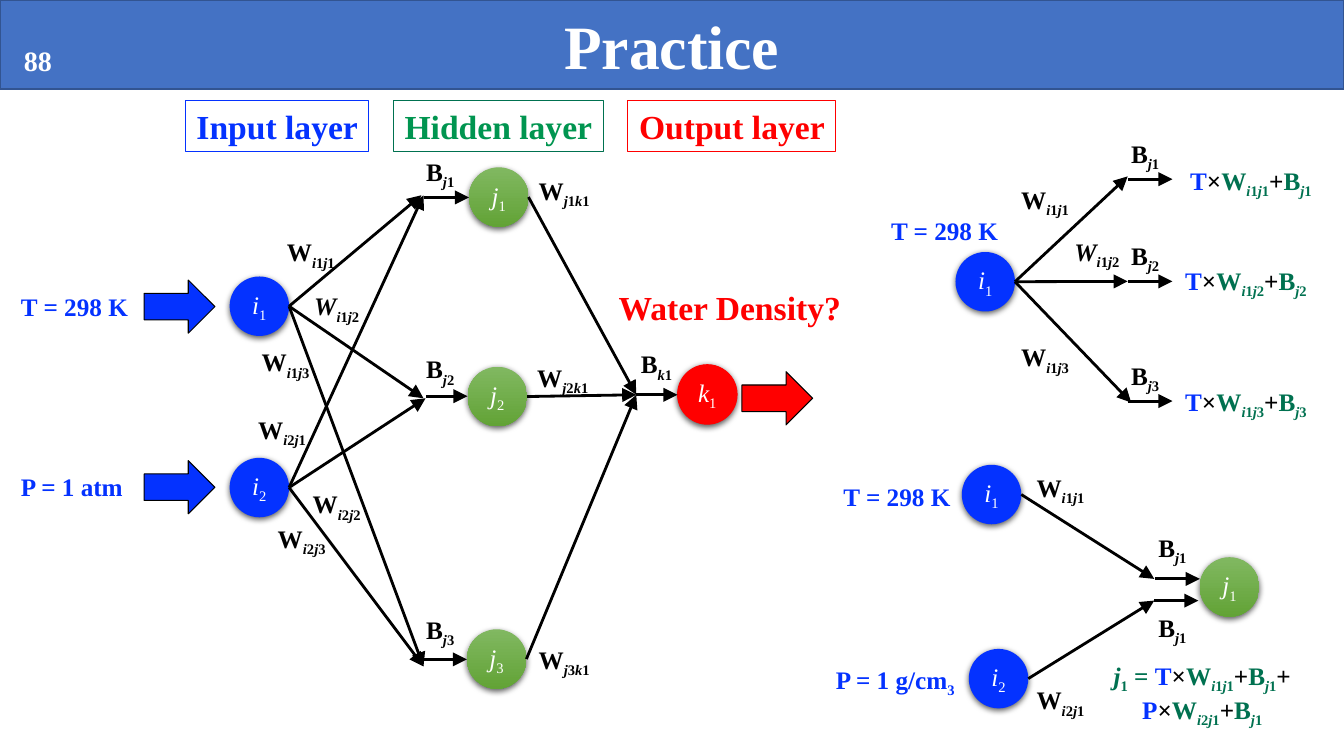
from lxml import etree
from pptx import Presentation
from pptx.dml.color import RGBColor
from pptx.enum.shapes import MSO_CONNECTOR, MSO_SHAPE as Kind
from pptx.enum.text import MSO_ANCHOR, PP_ALIGN
from pptx.oxml.ns import qn
from pptx.util import Pt

FONT = "Times New Roman"
BLUE, RED, GREEN = "0432FF", "FF0000", "007150"
BLACK, WHITE = "000000", "FFFFFF"
SIZE = 42.5  # node diameter

LAYERS = [  # text, left, width, text colour, border colour
    ("Input layer", 132.5, 131, BLUE, BLUE),
    ("Hidden layer", 281, 150, "009550", GREEN),
    ("Output layer", 448.5, 148.5, RED, RED),
]
NODES = [  # name, left, top, ends of the weight arrows that leave it
    ("i1", 164, 197.5, [(301, 139.5), (302.5, 284.5), (302.5, 476)]),
    ("i2", 164, 327, [(302.5, 139.5), (304, 284.5), (302.5, 476)]),
    ("j1", 335, 119.5, [(454.5, 282)]),
    ("j2", 334, 262, [(454.5, 282)]),
    ("j3", 333.5, 449.5, [(454.5, 282)]),
    ("k1", 484, 260.5, []),
    ("i1", 682.5, 180, [(805.5, 126), (805.5, 201), (808, 287.5)]),
    ("i1", 687, 332, [(824.5, 413.5)]),
    ("i2", 692, 463.5, [(824.5, 429)]),
    ("j1", 857, 398, []),
]
BIASES = [  # start, end, height of the level arrows
    (303, 335, 141), (304.5, 334, 283), (303, 333.5, 471), (454.5, 484, 282),
    (805.5, 837.5, 128), (805.5, 837.5, 201), (805.5, 837.5, 286.5),
    (825, 857, 413.5), (824.5, 856, 429),
]
LABELS = [
    ("Wi1j1", 196, 165.5), ("Wi1j2", 214.5, 204), ("Wi1j3", 178, 244),
    ("Wi2j1", 175.5, 292.5), ("Wi2j2", 214.5, 345.5), ("Wi2j3", 189.5, 370),
    ("Wj1k1", 376, 121.5), ("Wj2k1", 375, 255), ("Wj3k1", 376, 456.5),
    ("Bj1", 296.5, 108), ("Bj2", 296.5, 249), ("Bj3", 296.5, 435),
    ("Bk1", 449.5, 245.5),
    ("Wi1j1", 720.5, 128), ("Wi1j2", 757.5, 165), ("Wi1j3", 720.5, 240.5),
    ("Bj1", 800, 95), ("Bj2", 800, 168), ("Bj3", 800, 253.5),
    ("Wi1j1", 731.5, 333.5), ("Wi2j1", 731.5, 485.5),
    ("Bj1", 819.5, 376.5), ("Bj1", 819.5, 433.5),
]
WIDTHS = {"Wi": 52, "Wj": 54, "Bj": 36, "Bk": 39}
INPUTS = [  # text, subscript, left, top, width
    ("T = 298 K", "", 15, 208, 77),
    ("P = 1 atm", "", 15, 337, 73.5),
    ("T = 298 K", "", 636.5, 153.5, 77),
    ("T = 298 K", "", 602.5, 344, 77),
    ("P = 1 g/cm", "3", 597, 474.5, 86.5),
]
SUMS = [  # terms, left, top, width, height
    (["T", "×", "Wi1j1", "+", "Bj1"], 841, 118, 105, 21.5),
    (["T", "×", "Wi1j2", "+", "Bj2"], 837.5, 189.5, 105, 21.5),
    (["T", "×", "Wi1j3", "+", "Bj3"], 837.5, 276, 105, 21.5),
    (["j1", " = ", "T", "×", "Wi1j1", "+", "Bj1", "+ ",
      "P", "×", "Wi2j1", "+", "Bj1"], 781, 471.5, 155.5, 44),
]
BLOCKS = [(103, 200, BLUE), (103, 329, BLUE), (530, 265.5, RED)]
TINTS = {"T": BLUE, "P": BLUE, "×": BLACK, "+": BLACK, "+ ": BLACK}

deck = Presentation()
deck.slide_width, deck.slide_height = Pt(960), Pt(540)
slide = deck.slides.add_slide(deck.slide_layouts[6])
shapes = slide.shapes


def rgb(code):
    return RGBColor.from_string(code)


def term(name, color, slant=False):
    """Split a name such as Wi1j1 into a head and its subscripts."""
    return [(name[0], color, slant, False)] + [
        (c, color, c.isalpha(), True) for c in name[1:]]


def write(shape, parts, size=18, bold=True, align=PP_ALIGN.CENTER,
          wrap=False, inset=True):
    """Fill a shape with (text, colour, italic, subscript) parts."""
    frame = shape.text_frame
    frame.word_wrap = wrap
    if not inset:
        frame.margin_left = frame.margin_right = Pt(0)
        frame.margin_top = frame.margin_bottom = Pt(0)
    par = frame.paragraphs[0]
    par.alignment = align
    for text, color, slant, sub in parts:
        run = par.add_run()
        run.text = text
        font = run.font
        font.name, font.size = FONT, Pt(size)
        font.bold, font.italic = bold, slant
        font.color.rgb = rgb(color)
        if sub:
            font._element.set("baseline", "-25000")


def box(x, y, w, h):
    return shapes.add_textbox(Pt(x), Pt(y), Pt(w), Pt(h))


def solid(kind, x, y, w, h, fill, edge=None, width=0.75):
    shape = shapes.add_shape(kind, Pt(x), Pt(y), Pt(w), Pt(h))
    shape.shadow.inherit = False
    shape.fill.solid()
    shape.fill.fore_color.rgb = rgb(fill)
    if edge:
        shape.line.color.rgb = rgb(edge)
        shape.line.width = Pt(width)
    else:
        shape.line.fill.background()
    return shape


def arrow(x1, y1, x2, y2):
    line = shapes.add_connector(
        MSO_CONNECTOR.STRAIGHT, Pt(x1), Pt(y1), Pt(x2), Pt(y2))
    line.line.color.rgb = rgb(BLACK)
    line.line.width = Pt(2)
    props = line._element.spPr
    etree.SubElement(props.find(qn("a:ln")), qn("a:tailEnd"),
                     type="triangle", w="lg", len="lg")
    etree.SubElement(props, qn("a:effectLst"))


def node(name, x, y):
    fill = {"i": BLUE, "j": "6FB242", "k": RED}[name[0]]
    edge = RED if name[0] == "k" else None
    ball = solid(Kind.OVAL, x, y, SIZE, SIZE, fill, edge)
    if name[0] == "j":
        ball.fill.gradient()
        ball.fill.gradient_angle = 270
        for stop, code in zip(ball.fill.gradient_stops, ("81B861", "62A336")):
            stop.color.rgb = rgb(code)
    shade = etree.SubElement(
        ball._element.spPr.find(qn("a:effectLst")), qn("a:outerShdw"),
        blurRad=str(Pt(4.5)), dist=str(Pt(1.5)), dir="5400000", rotWithShape="0")
    tone = etree.SubElement(shade, qn("a:srgbClr"), val=BLACK)
    etree.SubElement(tone, qn("a:alpha"), val="63000")
    ball.text_frame.vertical_anchor = MSO_ANCHOR.MIDDLE
    write(ball, term(name, WHITE, True), bold=False, wrap=True, inset=False)


bar = solid(Kind.RECTANGLE, 0, 0, 960, 63.5, "4472C4", "325491", 1)
bar.text_frame.vertical_anchor = MSO_ANCHOR.MIDDLE
write(bar, [("Practice", WHITE, False, False)], 44)
write(box(10, 27.5, 34.5, 31.5), [("88", WHITE, False, False)], 20,
      align=PP_ALIGN.LEFT)

for text, x, w, color, edge in LAYERS:
    frame = box(x, 72, w, 36)
    frame.line.color.rgb = rgb(edge)
    frame.line.width = Pt(0.75)
    write(frame, [(text, color, False, False)], 24)
write(box(432, 201.5, 178.5, 36), [("Water Density?", RED, False, False)], 24,
      wrap=True)

for name, x, y, ends in NODES:
    node(name, x, y)
    for end in ends:
        arrow(x + SIZE, y + SIZE / 2, *end)
for x1, x2, y in BIASES:
    arrow(x1, y, x2, y)
for x, y, fill in BLOCKS:
    solid(Kind.RIGHT_ARROW, x, y, 50.5, 38, fill, BLACK)

for name, x, y in LABELS:
    write(box(x, y, WIDTHS[name[:2]], 28.5),
          term(name, BLACK, name == "Wi1j2"))
for text, sub, x, y, w in INPUTS:
    parts = [(text, BLUE, False, False)]
    if sub:
        parts.append((sub, BLUE, False, True))
    write(box(x, y, w, 21.5), parts, align=PP_ALIGN.LEFT, inset=False)
for terms, x, y, w, h in SUMS:
    parts = []
    for name in terms:
        color = TINTS.get(name, GREEN)
        if name[0].isalpha():
            parts += term(name, color, name[0] == "j")
        else:
            parts.append((name, color, False, False))
    write(box(x, y, w, h), parts, wrap=True, inset=False)

deck.save("out.pptx")
